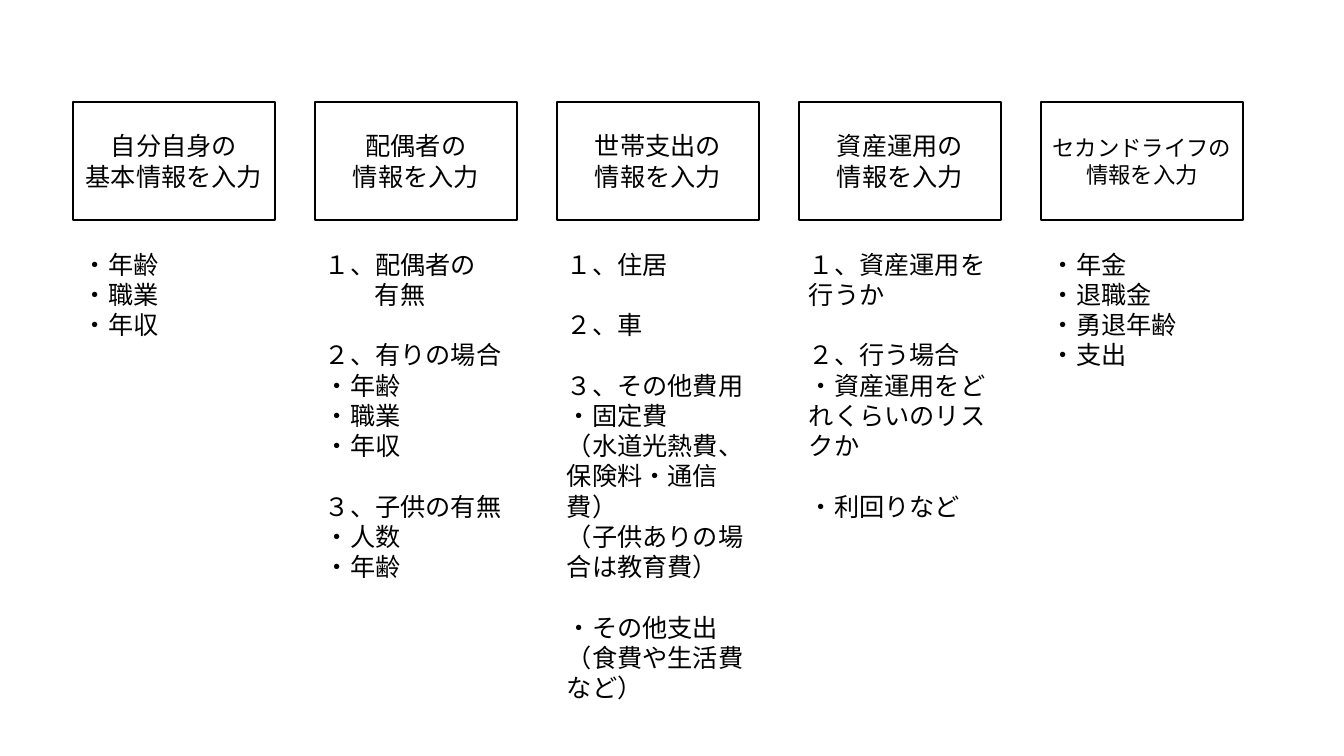
"""Builds a slide of five input steps, each a titled box above its list of items."""
from pptx import Presentation
from pptx.dml.color import RGBColor
from pptx.enum.shapes import MSO_SHAPE
from pptx.enum.text import MSO_ANCHOR, MSO_AUTO_SIZE, PP_ALIGN
from pptx.oxml.ns import qn
from pptx.util import Pt

RECT = MSO_SHAPE.RECTANGLE
MIDDLE = MSO_ANCHOR.MIDDLE
GROW = MSO_AUTO_SIZE.SHAPE_TO_FIT_TEXT
CENTER, LEFT = PP_ALIGN.CENTER, PP_ALIGN.LEFT
SCALE = 914400 / 100.8
COLORS = {"ink": "000000", "paper": "FFFFFF"}
FONT = "Noto Sans CJK JP"
LEAD = 1.2


def px(n):
    return round(n * SCALE)


class Deck:
    def __init__(self):
        self.prs = Presentation()
        self.prs.slide_width, self.prs.slide_height = px(1344), px(756)
        self.slide = self.prs.slides.add_slide(self.prs.slide_layouts[6])

    def color(self, name):
        return RGBColor.from_string(COLORS[name])

    def line(self, para, text, size, align):
        para.text = text
        para.alignment = align
        para.line_spacing = Pt(LEAD * size)
        para.font.size = Pt(size)
        para.font.name = FONT
        para.font.color.rgb = self.color("ink")
        props = para.font._element
        props.find(qn("a:latin")).addnext(props.makeelement(qn("a:ea"), {"typeface": FONT}))

    def box(self, x, y, w, h, lines, size):
        shape = self.slide.shapes.add_shape(RECT, px(x), px(y), px(w), px(h))
        shape.shadow.inherit = False
        shape.fill.solid()
        shape.fill.fore_color.rgb = self.color("paper")
        shape.line.color.rgb = self.color("ink")
        shape.line.width = Pt(1)
        frame = shape.text_frame
        frame.word_wrap = True
        frame.vertical_anchor = MIDDLE
        for i, text in enumerate(lines):
            para = frame.add_paragraph() if i else frame.paragraphs[0]
            self.line(para, text, size, CENTER)

    def notes(self, x, y, w, h, groups, size):
        frame = self.slide.shapes.add_textbox(px(x), px(y), px(w), px(h)).text_frame
        frame.word_wrap = True
        frame.auto_size = GROW
        para = frame.paragraphs[0]
        for g, group in enumerate(groups):
            for i, text in enumerate(group):
                if g or i:
                    para = frame.add_paragraph()
                self.line(para, text.lstrip(">"), size, LEFT)
                if g and not i:
                    para.space_before = Pt(LEAD * size)
                if text.startswith(">"):
                    para._p.get_or_add_pPr().set("marL", str(px(50)))


STEPS = [
    (["自分自身の", "基本情報を入力"], 18, 102,
     [["・年齢", "・職業", "・年収"]]),
    (["配偶者の", "情報を入力"], 18, 346,
     [["１、配偶者の", ">有無"],
      ["２、有りの場合", "・年齢", "・職業", "・年収"],
      ["３、子供の有無", "・人数", "・年齢"]]),
    (["世帯支出の", "情報を入力"], 18, 468,
     [["１、住居"], ["２、車"],
      ["３、その他費用", "・固定費", "（水道光熱費、保険料・通信費）",
       "（子供ありの場合は教育費）"],
      ["・その他支出", "（食費や生活費など）"]]),
    (["資産運用の", "情報を入力"], 18, 285,
     [["１、資産運用を行うか"],
      ["２、行う場合", "・資産運用をどれくらいのリスクか"],
      ["・利回りなど"]]),
    (["セカンドライフの", "情報を入力"], 16, 132,
     [["・年金", "・退職金", "・勇退年齢", "・支出"]]),
]

deck = Deck()
for col, (title, size, tall, groups) in enumerate(STEPS):
    left = 73 + 242 * col
    deck.box(left, 102, 202, 118, title, size)
    deck.notes(left, 244, 202, tall, groups, 18)
deck.prs.save("out.pptx")
